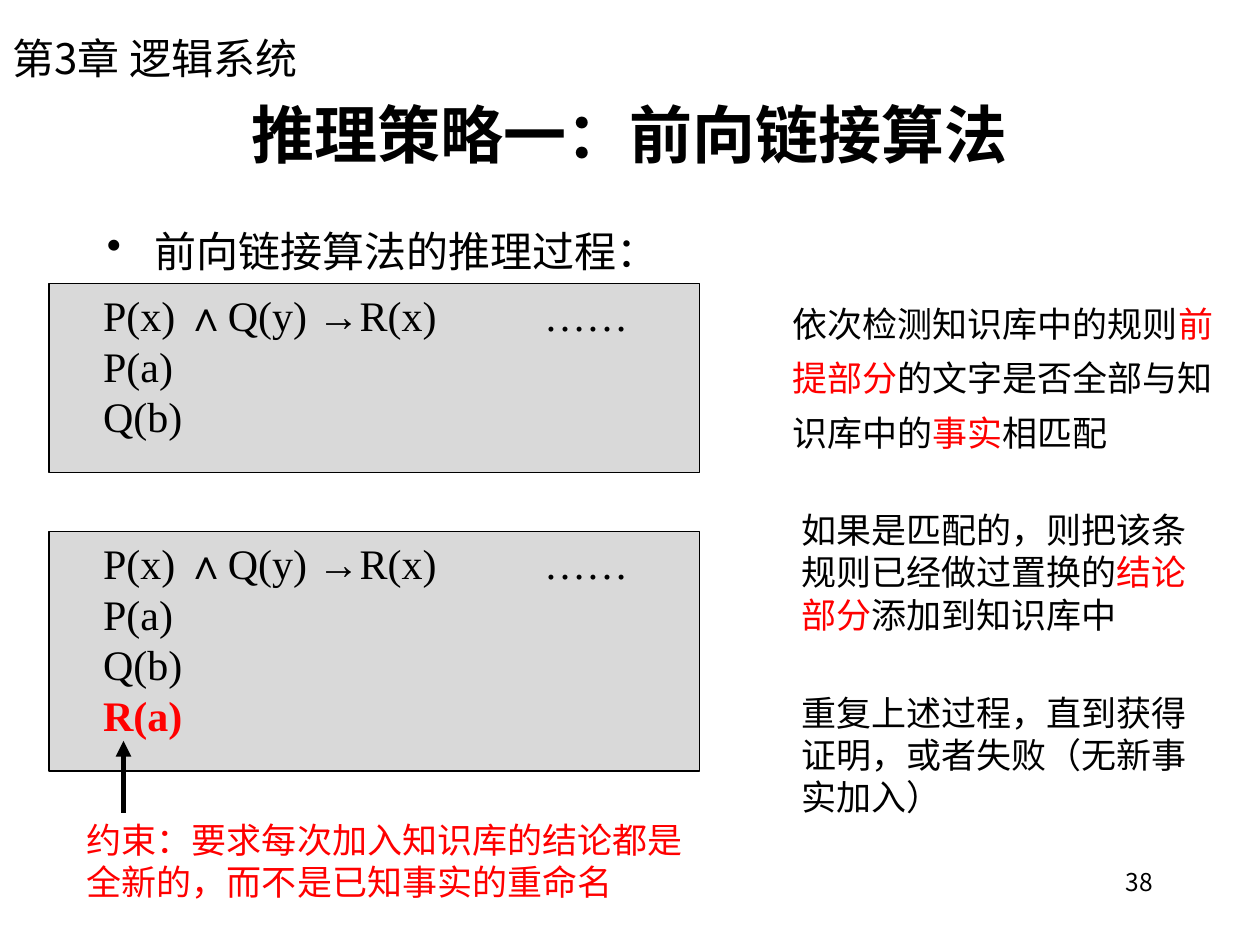
from lxml.etree import SubElement
from pptx import Presentation
from pptx.dml.color import RGBColor
from pptx.enum.shapes import MSO_CONNECTOR, MSO_SHAPE
from pptx.enum.text import MSO_ANCHOR, PP_ALIGN
from pptx.oxml.ns import qn
from pptx.util import Inches, Pt

COLORS = {"ink": "000000", "red": "FF0000", "gray": "D9D9D9"}
SERIF, SANS, KOREAN = "Times New Roman", "Noto Sans CJK SC", "Noto Sans CJK KR"

# Content: a paragraph is a list of runs; a run in red is a (text, "red") pair
TITLE = ["推理策略一：前向链接算法"]
CHAPTER = ["第3章 逻辑系统"]
LEAD = ["前向链接算法的推理过程："]
PAGE = ["38"]
FACTS = [["P(x) ∧Q(y) →R(x)\t……"], ["P(a)"], ["Q(b)"]]
BOXES = [  # top, height, lines
    (2.25, 1.5, FACTS),
    (4.22, 1.9, FACTS + [[("R(a)", "red")]]),
]
NOTES = [  # place, line spacing, runs
    ((6.19, 2.25, 3.6, 1.41), 1.3,
     ["依次检测知识库中的规则", ("前提部分", "red"),
      "的文字是否全部与知识库中的", ("事实", "red"), "相匹配"]),
    ((6.26, 3.99, 3.52, 1.11), 1,
     ["如果是匹配的，则把该条规则已经做过置换的", ("结论部分", "red"),
      "添加到知识库中"]),
    ((6.26, 5.44, 3.52, 1.11), 1,
     ["重复上述过程，直到获得证明，或者失败（无新事实加入）"]),
    ((0.59, 6.45, 4.96, 0.77), 1,
     [("约束：要求每次加入知识库的结论都是全新的，而不是已知事实的重命名", "red")]),
]


def rgb(name):
    return RGBColor.from_string(COLORS[name])


def style(para, size, face, bold=False):
    font = para.font
    font.size, font.bold = Pt(size), bold
    font.color.rgb = rgb("ink")
    font.name = face
    east = SANS if face == SERIF else face
    props = para._p.get_or_add_pPr().find(qn("a:defRPr"))
    SubElement(props, qn("a:ea")).set("typeface", east)


def write(para, runs):
    for item in runs:
        text, color = item if isinstance(item, tuple) else (item, None)
        run = para.add_run()
        run.text = text
        if color:
            run.font.color.rgb = rgb(color)


def label(slide, place, runs, size, face=SERIF, bold=False):
    frame = slide.shapes.add_textbox(*map(Inches, place)).text_frame
    frame.word_wrap = True
    para = frame.paragraphs[0]
    write(para, runs)
    return frame, para, (size, face, bold)


def plain(slide, *args, align=PP_ALIGN.LEFT, space=1, anchor=MSO_ANCHOR.TOP):
    frame, para, look = label(slide, *args)
    frame.vertical_anchor = anchor
    para.alignment, para.line_spacing = align, space
    style(para, *look)


def bullet(slide, *args):
    _, para, look = label(slide, *args)
    para.line_spacing = 1.3
    props = para._p.get_or_add_pPr()
    props.set("marL", str(Inches(0.38)))
    props.set("indent", str(-Inches(0.38)))
    SubElement(props, qn("a:buChar")).set("char", "•")
    style(para, *look)


def panel(slide, top, height, lines):
    box = slide.shapes.add_shape(
        MSO_SHAPE.RECTANGLE, *map(Inches, (0.39, top, 5.16, height)))
    box.shadow.inherit = False
    box.fill.solid()
    box.fill.fore_color.rgb = rgb("gray")
    box.line.color.rgb = rgb("ink")
    box.line.width = Pt(0.75)
    frame = box.text_frame
    frame.word_wrap = True
    frame.vertical_anchor = MSO_ANCHOR.TOP
    for i, runs in enumerate(lines):
        para = frame.add_paragraph() if i else frame.paragraphs[0]
        para.alignment = PP_ALIGN.LEFT
        write(para, runs)
        props = para._p.get_or_add_pPr()
        props.set("marL", str(Inches(0.33)))
        tabs = SubElement(props, qn("a:tabLst"))
        tab = SubElement(tabs, qn("a:tab"))
        tab.set("pos", str(Inches(3.5)))
        tab.set("algn", "l")
        style(para, 24, SERIF)
        for run in para.runs:
            if isinstance(runs[0], tuple):
                run.font.bold = True


def arrow(slide, *ends):
    link = slide.shapes.add_connector(
        MSO_CONNECTOR.STRAIGHT, *map(Inches, ends))
    link.line.color.rgb = rgb("ink")
    link.line.width = Pt(3)
    SubElement(link.line._get_or_add_ln(), qn("a:tailEnd")).set("type", "triangle")
    SubElement(link._element.spPr, qn("a:effectLst"))


def main():
    deck = Presentation()
    deck.slide_width, deck.slide_height = Inches(10), Inches(7.5)
    slide = deck.slides.add_slide(deck.slide_layouts[6])

    # Headings and page number
    plain(slide, (7.17, 6.83, 2.08, 0.5), PAGE, 14, KOREAN, align=PP_ALIGN.RIGHT)
    plain(slide, (0.75, 0.66, 8.5, 0.8), TITLE, 36, SANS, True,
          align=PP_ALIGN.CENTER, anchor=MSO_ANCHOR.MIDDLE)
    bullet(slide, (0.75, 1.62, 8.66, 0.63), LEAD, 24)
    plain(slide, (0, 0.21, 2.56, 0.5), CHAPTER, 24, SANS)

    # Knowledge bases, remarks and the arrow to the new fact
    for box in BOXES:
        panel(slide, *box)
    for place, space, runs in NOTES:
        plain(slide, place, runs, 20, space=space)
    arrow(slide, 0.98, 6.45, 0.98, 5.88)

    deck.save("out.pptx")


if __name__ == "__main__":
    main()
